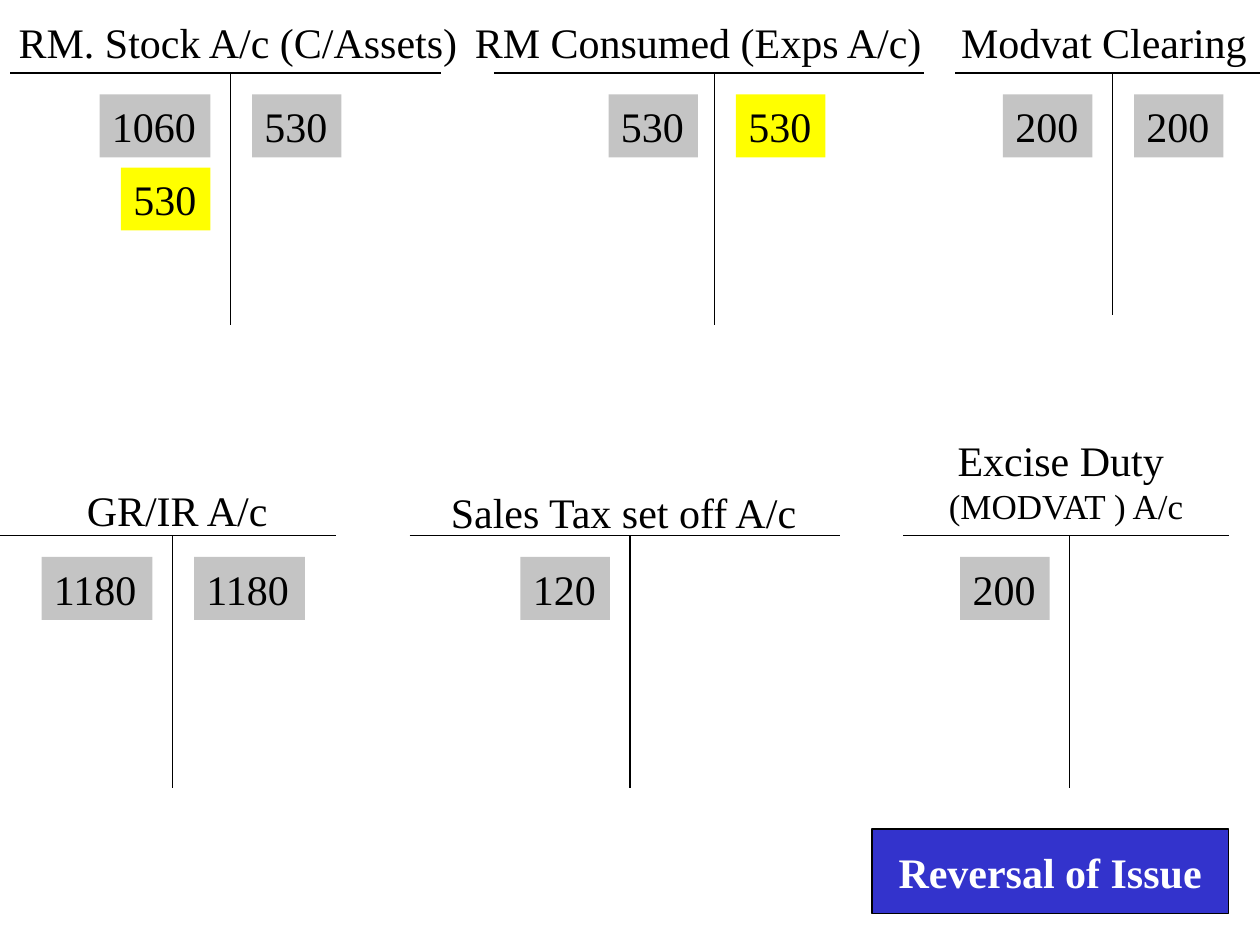
from pptx import Presentation as Deck
from pptx.dml.color import RGBColor as Rgb
from pptx.enum.shapes import MSO_CONNECTOR as Link, MSO_SHAPE as Shape
from pptx.enum.text import MSO_ANCHOR as Anchor, MSO_AUTO_SIZE as Fit, PP_ALIGN as Align
from pptx.oxml.ns import qn
from pptx.util import Inches, Pt
from lxml.etree import SubElement as Sub

HUES = {"ink": "000000", "gray": "C4C4C4", "mark": "FFFF00", "blue": "3333CC", "white": "FFFFFF"}


def hue(name):
    return Rgb.from_string(HUES[name])


def write(frame, text, sizes=(24,), color="ink", bold=False, align=Align.LEFT,
          anchor=Anchor.TOP, wrap=False, fit=Fit.SHAPE_TO_FIT_TEXT):
    frame.text = text
    frame.word_wrap = wrap
    frame.auto_size = fit
    frame.vertical_anchor = anchor
    for para, size in zip(frame.paragraphs, sizes):
        para.alignment = align
        font = para.font
        font.name = "Times New Roman"
        font.size = Pt(size)
        font.bold = bold
        font.color.rgb = hue(color)


class Board:
    def __init__(self, slide):
        self.slide = slide
        self.shapes = slide.shapes

    def line(self, x1, y1, x2, y2):
        line = self.shapes.add_connector(
            Link.STRAIGHT, Inches(x1), Inches(y1), Inches(x2), Inches(y2))
        line.line.color.rgb = hue("ink")
        line.line.width = Pt(0.75)
        Sub(line._element.spPr, qn("a:effectLst"))

    def label(self, text, x, y, w, h, **form):
        box = self.shapes.add_textbox(Inches(x), Inches(y), Inches(w), Inches(h))
        write(box.text_frame, text, **form)

    def block(self, text, x, y, w, h, fill, edge=False, **form):
        box = self.shapes.add_shape(
            Shape.RECTANGLE, Inches(x), Inches(y), Inches(w), Inches(h))
        box.shadow.inherit = False
        box.fill.solid()
        box.fill.fore_color.rgb = hue(fill)
        if edge:
            box.line.color.rgb = hue("ink")
            box.line.width = Pt(0.75)
        else:
            box.line.fill.background()
        write(box.text_frame, text, **form)

    def ledger(self, left, right, stem, top, debits=(), credits=(), depth=2, gap=0.16):
        self.line(left, top, right, top)
        self.line(stem, top, stem, top + depth)
        for side, items in (("debit", debits), ("credit", credits)):
            for row, (text, fill) in enumerate(items):
                wide = 0.2 + 0.17 * len(text)
                x = stem - gap - wide if side == "debit" else stem + 0.17
                self.block(text, x, top + 0.17 + 0.58 * row, wide, 0.5, fill)


def main():
    deck = Deck()
    deck.slide_width, deck.slide_height = Inches(10), Inches(7.5)
    board = Board(deck.slides.add_slide(deck.slide_layouts[6]))
    high, low = 0.58, 4.25

    board.ledger(0.08, 3.5, 1.83, high, [("1060", "gray"), ("530", "mark")], [("530", "gray")])
    board.ledger(3.92, 7.33, 5.67, high, [("530", "gray")], [("530", "mark")], gap=0.13)
    board.ledger(7.58, 10, 8.83, high, [("200", "gray")], [("200", "gray")], depth=1.92)
    board.ledger(0, 2.67, 1.37, low, [("1180", "gray")], [("1180", "gray")])
    board.ledger(3.25, 6.67, 5, low, [("120", "gray")])
    board.ledger(7.17, 9.75, 8.49, low, [("200", "gray")])

    for text, x, y, w in (
        ("RM. Stock A/c (C/Assets)", 0.05, 0.08, 3.7),
        ("RM Consumed (Exps A/c)", 3.67, 0.08, 3.76),
        ("Modvat Clearing", 7.53, 0.08, 2.47),
        ("GR/IR A/c", 0.59, 3.8, 1.65),
        ("Sales Tax set off A/c", 3.48, 3.81, 2.99),
    ):
        board.label(text, x, y, w, 0.5)
    board.label("Excise Duty \n(MODVAT ) A/c", 7.17, 3.4, 2.58, 0.84,
                sizes=(24, 20), align=Align.CENTER, wrap=True)
    board.block("Reversal of Issue", 6.92, 6.58, 2.83, 0.67, "blue", edge=True,
                color="white", bold=True, align=Align.CENTER,
                anchor=Anchor.MIDDLE, fit=Fit.NONE)
    deck.save("out.pptx")


if __name__ == "__main__":
    main()
